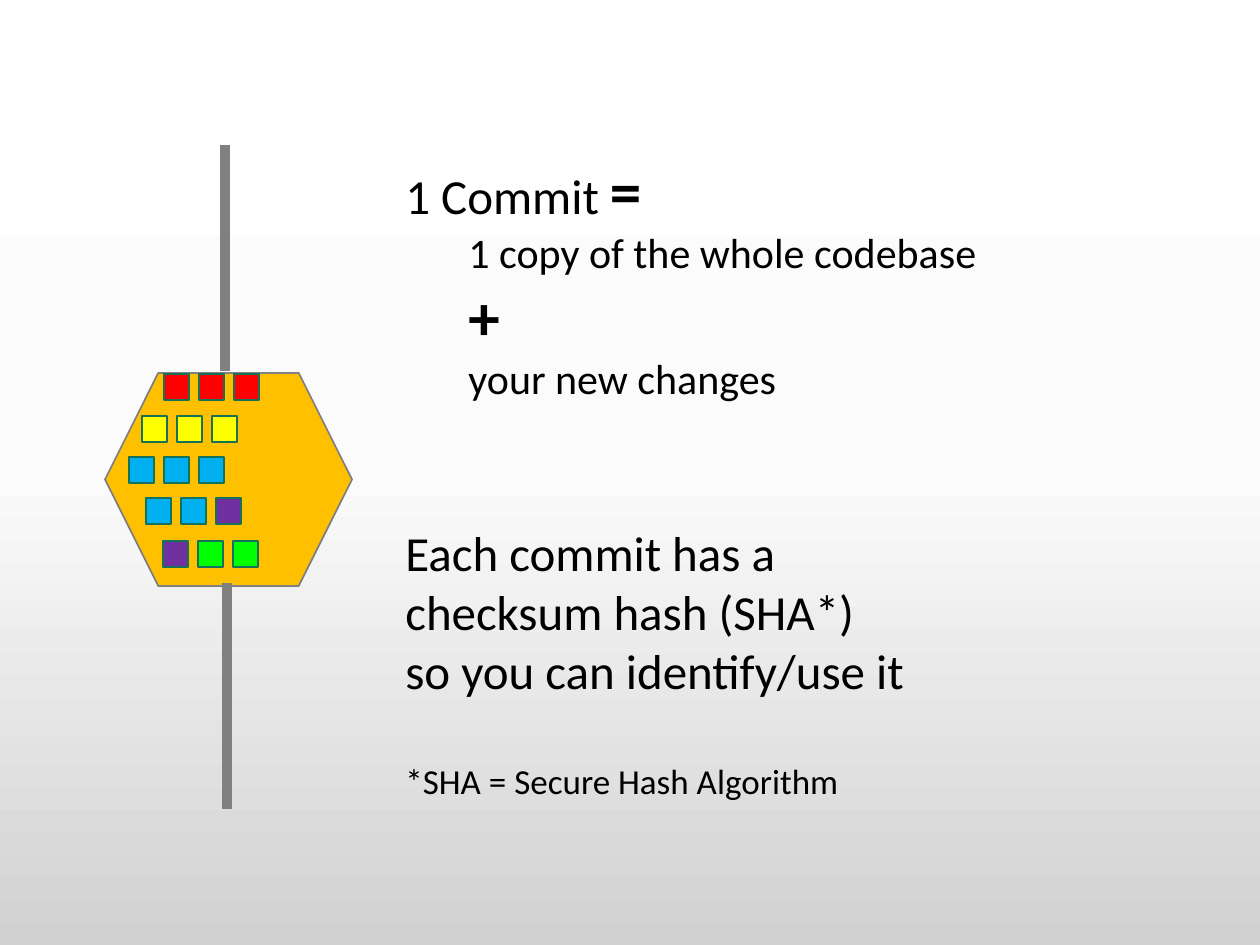
from dataclasses import dataclass
from typing import NamedTuple

from copy import deepcopy
from lxml import etree
from pptx import Presentation
from pptx import util as u
from pptx.dml import color
from pptx.enum import shapes, text
from pptx.oxml import ns

PX_PER_INCH = 126
BLACK, GREY, TEAL = "000000", "808080", "157259"
RED, YELLOW, BLUE, PURPLE, GREEN = "FF0000", "FFFF00", "00B0F0", "7030A0", "00FF00"
BLANK_LINE = 34.2  # points, one line at 28 pt
FILE_WIDTH, FILE_HEIGHT, FILE_PITCH = 25, 26, 35


class Piece(NamedTuple):
    words: str
    size: int
    bold: bool = False


@dataclass
class Line:
    pieces: list[Piece]
    indent: int = 0
    space_before: float = 0


@dataclass
class FileRow:
    left: int
    top: int
    colours: list[str]


FILE_ROWS = [
    FileRow(164, 374, [RED, RED, RED]),
    FileRow(142, 416, [YELLOW, YELLOW, YELLOW]),
    FileRow(129, 457, [BLUE, BLUE, BLUE]),
    FileRow(146, 498, [BLUE, BLUE, PURPLE]),
    FileRow(163, 541, [PURPLE, GREEN, GREEN]),
]

EXPLANATION = [
    Line([Piece("1 Commit ", 28), Piece("=", 36, True)]),
    Line([Piece("1 copy of the whole codebase", 24)], indent=63),
    Line([Piece("+", 36, True)], indent=63),
    Line([Piece("your new changes", 24)], indent=63),
    Line([Piece("Each commit has a", 28)], space_before=2 * BLANK_LINE),
    Line([Piece("checksum hash (SHA*)", 28)]),
    Line([Piece("so you can identify/use it", 28)]),
    Line([Piece("*SHA = Secure Hash Algorithm", 20)], space_before=BLANK_LINE),
]


def px(length: int) -> u.Emu:
    return u.Emu(round(length * u.Inches(1) / PX_PER_INCH))


def rgb(value: str) -> color.RGBColor:
    return color.RGBColor.from_string(value)


def paint_background(slide) -> None:
    """Fade from white at the top to grey, with a middle stop."""
    fill = slide.background.fill
    fill.gradient()
    fill.gradient_angle = 270
    stop_list = slide.element.find(".//" + ns.qn("a:gsLst"))
    stop_list.insert(1, deepcopy(stop_list[0]))
    for stop, position, shade in zip(
        fill.gradient_stops, (0, 0.5, 1), ("FFFFFF", "FBFBFB", "D1D1D1")
    ):
        stop.position = position
        stop.color.rgb = rgb(shade)


def add_block(slide, kind, left: int, top: int, width: int, height: int,
              fill: str, outline: str) -> None:
    block = slide.shapes.add_shape(kind, px(left), px(top), px(width), px(height))
    block.shadow.inherit = False
    block.fill.solid()
    block.fill.fore_color.rgb = rgb(fill)
    block.line.color.rgb = rgb(outline)
    block.line.width = u.Pt(1)


def add_file_row(slide, row: FileRow) -> None:
    for column, colour in enumerate(row.colours):
        add_block(slide, shapes.MSO_SHAPE.RECTANGLE, row.left + column * FILE_PITCH,
                  row.top, FILE_WIDTH, FILE_HEIGHT, colour, TEAL)


def add_branch(slide, x: int, start: int, end: int) -> None:
    branch = slide.shapes.add_connector(
        shapes.MSO_CONNECTOR.STRAIGHT, px(x), px(start), px(x), px(end))
    branch.line.color.rgb = rgb(GREY)
    branch.line.width = u.Pt(6)
    etree.SubElement(branch.element.spPr, ns.qn("a:effectLst"))


def add_explanation(slide, left: int, top: int, width: int, height: int) -> None:
    frame = slide.shapes.add_textbox(px(left), px(top), px(width), px(height)).text_frame
    frame.word_wrap = True
    frame.auto_size = text.MSO_AUTO_SIZE.SHAPE_TO_FIT_TEXT
    for number, line in enumerate(EXPLANATION):
        paragraph = frame.add_paragraph() if number else frame.paragraphs[0]
        paragraph.space_before = u.Pt(line.space_before)
        if line.indent:
            paragraph.level = 1
            properties = paragraph._p.get_or_add_pPr()
            properties.set("marL", str(px(line.indent)))
            properties.set("indent", "0")
        for piece in line.pieces:
            run = paragraph.add_run()
            run.text = piece.words
            run.font.name = "Calibri"
            run.font.size = u.Pt(piece.size)
            run.font.bold = piece.bold
            run.font.color.rgb = rgb(BLACK)


def main() -> None:
    deck = Presentation()
    deck.slide_width, deck.slide_height = px(1260), px(945)
    slide = deck.slides.add_slide(deck.slide_layouts[6])
    paint_background(slide)
    add_block(slide, shapes.MSO_SHAPE.HEXAGON, 105, 373, 247, 213, "FFC000", GREY)
    add_explanation(slide, 393, 145, 819, 692)
    for row in FILE_ROWS:
        add_file_row(slide, row)
    add_branch(slide, 225, 371, 145)
    add_branch(slide, 227, 809, 583)
    deck.save("out.pptx")


if __name__ == "__main__":
    main()
